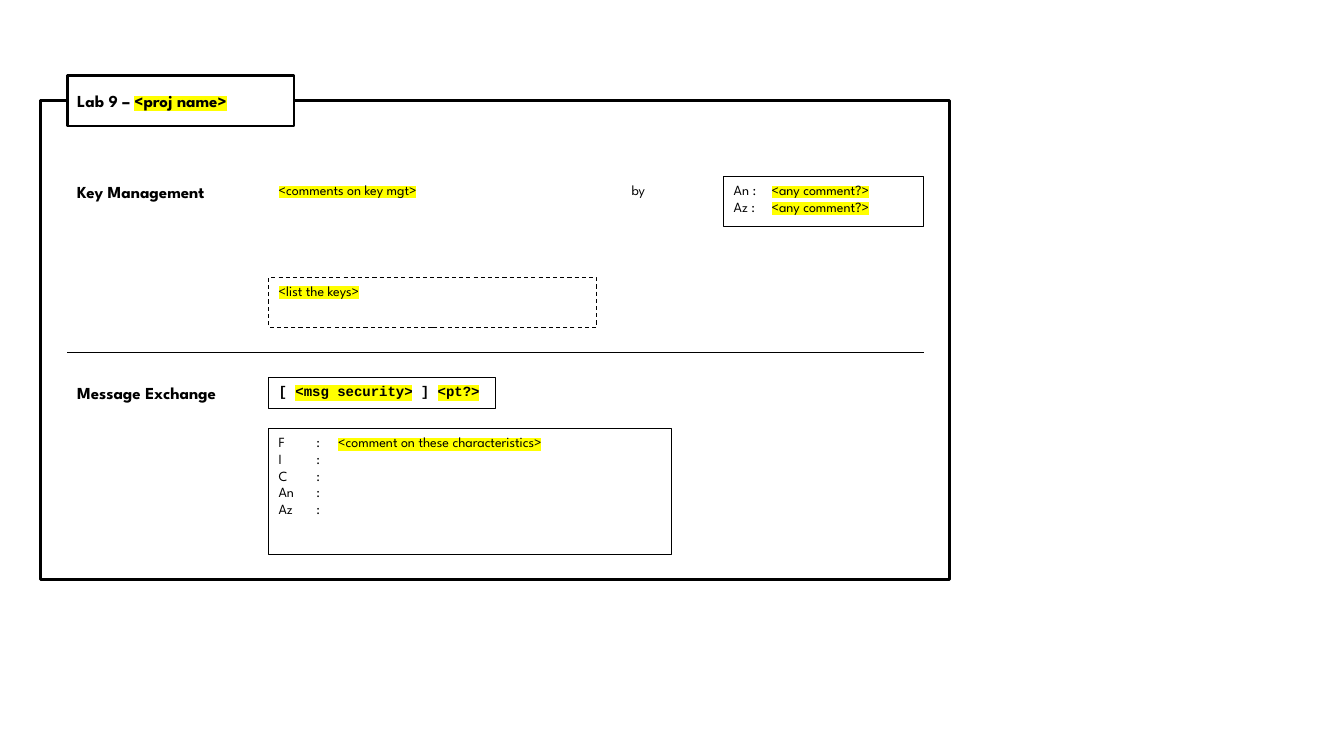
from dataclasses import dataclass

from lxml.etree import SubElement
from pptx import Presentation
from pptx.dml.color import RGBColor
from pptx.enum.dml import MSO_LINE_DASH_STYLE as Dash
from pptx.enum.shapes import MSO_CONNECTOR as Connector
from pptx.enum.shapes import MSO_SHAPE as Shape
from pptx.enum.text import MSO_ANCHOR as Anchor
from pptx.enum.text import PP_ALIGN as Align
from pptx.oxml.ns import qn
from pptx.util import Pt

COLORS = {"ink": "000000", "paper": "FFFFFF", "marker": "FFFF00"}
SANS, MONO = "League Spartan", "Courier New"


@dataclass
class Box:
    """A block of text; a border of 0 makes it a plain text box."""
    left: float
    top: float
    width: float
    height: float
    lines: tuple[str, ...] = ()
    size: float = 10
    bold: bool = False
    font: str = SANS
    border: float = 0
    dashed: bool = False
    filled: bool = False
    anchor: Anchor = Anchor.TOP
    tabs: tuple[float, ...] = ()


def color(name: str) -> RGBColor:
    return RGBColor.from_string(COLORS[name])


def add_tabs(paragraph, tabs: tuple[float, ...]) -> None:
    tab_list = SubElement(paragraph._p.get_or_add_pPr(), qn("a:tabLst"))
    for position in tabs:
        SubElement(tab_list, qn("a:tab"), pos=str(Pt(position)), algn="l")


def write_line(paragraph, line: str, box: Box) -> None:
    """Write one line, marking every <placeholder> in it."""
    paragraph.alignment = Align.LEFT
    if box.tabs:
        add_tabs(paragraph, box.tabs)
    font = paragraph.font
    font.name, font.size, font.bold = box.font, Pt(box.size), box.bold
    font.color.rgb = color("ink")
    pieces = line.replace("<", "\n<").replace(">", ">\n").split("\n")
    for piece in filter(None, pieces):
        run = paragraph.add_run()
        run.text = piece
        if piece.startswith("<"):
            highlight = SubElement(run._r.get_or_add_rPr(), qn("a:highlight"))
            SubElement(highlight, qn("a:srgbClr"), val=COLORS["marker"])


def draw_box(slide, box: Box) -> None:
    bounds = [Pt(v) for v in (box.left, box.top, box.width, box.height)]
    if box.border:
        shape = slide.shapes.add_shape(Shape.RECTANGLE, *bounds)
        shape.shadow.inherit = False
        shape.line.color.rgb = color("ink")
        shape.line.width = Pt(box.border)
        if box.dashed:
            shape.line.dash_style = Dash.DASH
        if box.filled:
            shape.fill.solid()
            shape.fill.fore_color.rgb = color("paper")
        else:
            shape.fill.background()
    else:
        shape = slide.shapes.add_textbox(*bounds)
    frame = shape.text_frame
    frame.word_wrap = True
    frame.vertical_anchor = box.anchor
    for index, line in enumerate(box.lines):
        paragraph = frame.add_paragraph() if index else frame.paragraphs[0]
        write_line(paragraph, line, box)


def draw_divider(slide, left: float, right: float, y: float) -> None:
    line = slide.shapes.add_connector(
        Connector.STRAIGHT, Pt(left), Pt(y), Pt(right), Pt(y))
    line.line.color.rgb = color("ink")
    line.line.width = Pt(1)
    SubElement(line._element.spPr, qn("a:effectLst"))


presentation = Presentation()
presentation.slide_width, presentation.slide_height = Pt(960), Pt(540)
slide = presentation.slides.add_slide(presentation.slide_layouts[6])

LABEL_LEFT, BODY_LEFT = 48, 192
KEY_TOP, MESSAGE_TOP = 126, 270

# Outer frame, title tab and section labels
FRAME = [
    Box(28.8, 72, 649.4, 342, border=2),
    Box(LABEL_LEFT, 54, 162, 36, ("Lab 9 – <proj name>",), 12, True,
        border=2, filled=True, anchor=Anchor.MIDDLE),
    Box(LABEL_LEFT, KEY_TOP, 138, 21.6, ("Key Management",), 12, True),
    Box(LABEL_LEFT, MESSAGE_TOP, 138, 21.6, ("Message Exchange",), 12, True),
]

# Key management
KEYS = [
    Box(BODY_LEFT, KEY_TOP, 234, 72, ("<comments on key mgt>",)),
    Box(444, KEY_TOP, 54, 72, ("by",)),
    Box(517, KEY_TOP, 143, 36,
        tuple(f"{name} :\t<any comment?>" for name in ("An", "Az")),
        border=0.75, tabs=(27,)),
    Box(BODY_LEFT, 198, 234, 36, ("<list the keys>",),
        border=0.75, dashed=True),
]

# Message exchange: the security box is wide enough for a single line
MESSAGES = [
    Box(BODY_LEFT, MESSAGE_TOP, 162, 21.6, ("[ <msg security> ] <pt?>",),
        bold=True, font=MONO, border=0.75),
    Box(BODY_LEFT, 306, 288, 90,
        ("F\t:\t<comment on these characteristics>",
         *(f"{name}\t:" for name in ("I", "C", "An", "Az"))),
        border=0.75, tabs=(27, 42.5)),
]

for box in FRAME + KEYS + MESSAGES:
    draw_box(slide, box)
draw_divider(slide, LABEL_LEFT, 660, 252)

presentation.save("out.pptx")
